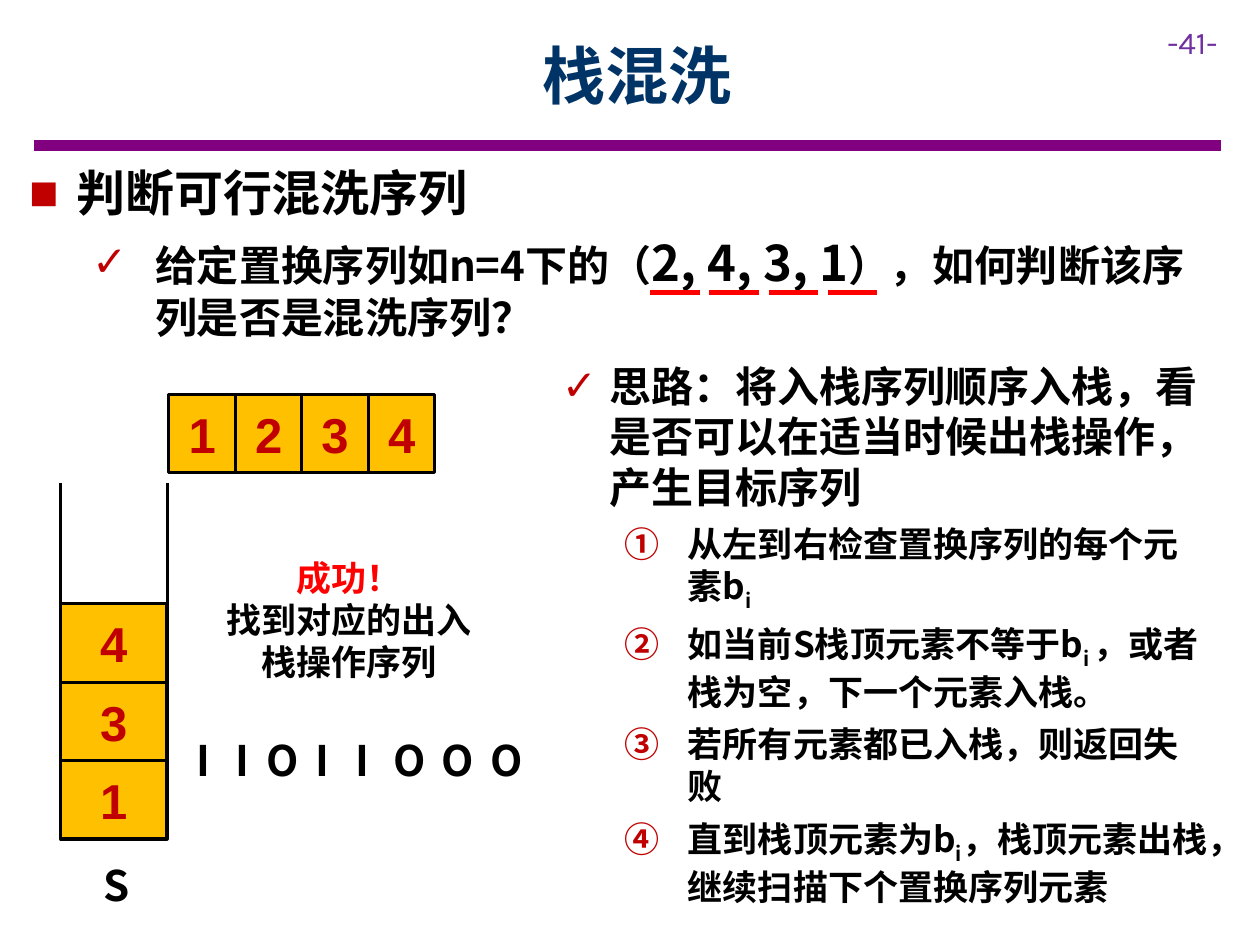
from dataclasses import dataclass
from lxml.etree import SubElement
from pptx import Presentation
from pptx.dml.color import RGBColor
from pptx.enum.shapes import MSO_CONNECTOR as CONN, MSO_SHAPE as SHAPE
from pptx.enum.text import MSO_ANCHOR as ANCHOR, PP_ALIGN as ALIGN
from pptx.oxml.ns import qn
from pptx.util import Pt


@dataclass(frozen=True)
class Theme:
    font: str = "Noto Sans CJK SC"
    digit_font: str = "Arial"
    page_font: str = "Karla"
    ink: str = "000000"
    title: str = "003366"
    rule: str = "800080"
    page: str = "7030A0"
    accent: str = "C00000"
    alert: str = "FF0000"
    cell: str = "FFC000"
    title_size: int = 36
    head_size: int = 28
    body_size: int = 24
    step_size: int = 20
    page_size: int = 18
    thin: float = 1.75


def add_run(p, text, font, size, color, bold=True, sub=False):
    r = p.add_run()
    r.text = text
    r.font.name = font
    r.font.size = Pt(size)
    r.font.bold = bold
    r.font.color.rgb = RGBColor.from_string(color)
    rPr = r._r.get_or_add_rPr()
    SubElement(rPr, qn("a:ea"), typeface=font)
    if sub:
        rPr.set("baseline", "-25000")


class SlideBuilder:
    def __init__(self, slide, theme):
        self.s = slide
        self.t = theme

    def paragraph(self, tf, runs, first=False, align=ALIGN.LEFT, after=0,
                  bullet=None, margin=0, hang=0, **fmt):
        p = tf.paragraphs[0] if first else tf.add_paragraph()
        p.alignment = align
        p.space_after = Pt(after)
        if bullet:
            pPr = p._p.get_or_add_pPr()
            pPr.set("marL", str(Pt(margin)))
            pPr.set("indent", str(-Pt(hang)))
            SubElement(SubElement(pPr, qn("a:buClr")), qn("a:srgbClr"), val=self.t.accent)
            SubElement(pPr, qn("a:buFont"), typeface=self.t.digit_font)
            if bullet == "circleNumDbPlain":
                SubElement(pPr, qn("a:buAutoNum"), type=bullet)
            else:
                SubElement(pPr, qn("a:buChar"), char=bullet)
        base = dict(font=self.t.font, size=self.t.body_size, color=self.t.ink) | fmt
        for text, extra in [(runs, {})] if isinstance(runs, str) else runs:
            add_run(p, text, **(base | extra))

    def text(self, box, paragraphs, anchor=ANCHOR.TOP):
        tf = self.s.shapes.add_textbox(*map(Pt, box)).text_frame
        tf.word_wrap = True
        tf.vertical_anchor = anchor
        for i, (runs, fmt) in enumerate(paragraphs):
            self.paragraph(tf, runs, first=i == 0, **fmt)

    def line(self, x1, y1, x2, y2, color, width):
        c = self.s.shapes.add_connector(CONN.STRAIGHT, Pt(x1), Pt(y1), Pt(x2), Pt(y2))
        c.line.color.rgb = RGBColor.from_string(color)
        c.line.width = Pt(width)
        SubElement(c._element.spPr, qn("a:effectLst"))

    def cell(self, x, y, w, h, digit):
        sp = self.s.shapes.add_shape(SHAPE.RECTANGLE, Pt(x), Pt(y), Pt(w), Pt(h))
        sp.shadow.inherit = False
        sp.fill.solid()
        sp.fill.fore_color.rgb = RGBColor.from_string(self.t.cell)
        sp.line.color.rgb = RGBColor.from_string(self.t.ink)
        sp.line.width = Pt(self.t.thin)
        tf = sp.text_frame
        tf.vertical_anchor = ANCHOR.MIDDLE
        self.paragraph(tf, digit, first=True, align=ALIGN.CENTER, font=self.t.digit_font,
                       size=self.t.head_size, color=self.t.accent)


def main():
    t = Theme()
    prs = Presentation()
    prs.slide_width, prs.slide_height = Pt(720), Pt(540)
    b = SlideBuilder(prs.slides.add_slide(prs.slide_layouts[6]), t)

    b.line(19.5, 83, 697.5, 83, t.rule, 6)
    b.text((660, 9.5, 60, 29), [("-41-", dict(font=t.page_font, size=t.page_size,
                                             color=t.page, bold=False))])
    b.text((65, 6.5, 598, 72), [("栈混洗", dict(size=t.title_size, color=t.title,
                                             align=ALIGN.CENTER))], ANCHOR.MIDDLE)

    head = dict(after=6, margin=27, hang=27)
    detail = dict(after=6, margin=72, hang=36)
    b.text((9.5, 89.5, 696, 110), [
        ("判断可行混洗序列", dict(head, bullet="■", size=t.head_size)),
        ([("给定置换序列如n=4下的（", {}), ("2, 4, 3, 1", dict(size=t.head_size)),
          ("），如何判断该序列是否是混洗序列？", {})], dict(detail, bullet="✓")),
    ])

    sub_i = ("i", dict(sub=True))
    steps = [
        [("从左到右检查置换序列的每个元素b", {}), sub_i],
        [("如当前S栈顶元素不等于b", {}), ("i ", dict(sub=True)),
         ("，或者栈为空，下一个元素入栈。", {})],
        "若所有元素都已入栈，则返回失败",
        [("直到栈顶元素为b", {}), sub_i, ("，栈顶元素出栈，继续扫描下个置换序列元素", {})],
    ]
    step = dict(detail, bullet="circleNumDbPlain", size=t.step_size)
    idea = "思路：将入栈序列顺序入栈，看是否可以在适当时候出栈操作，产生目标序列"
    b.text((314, 202.5, 386, 312.5),
           [(idea, dict(head, bullet="✓"))] + [(runs, step) for runs in steps])

    for i in range(4):
        x = 371.5 + 33.84 * i
        b.line(x, 167.3, x + 28.3, 167.3, t.alert, 3)

    left, right, top, bottom = 34.6, 95.5, 276, 479.5
    for x in (left, right):
        b.line(x, top, x, bottom, t.ink, t.thin)
    b.line(left, bottom, right, bottom, t.ink, t.thin)
    for i, digit in enumerate("134", 1):
        b.cell(left, bottom - 44.8 * i, right - left, 44.8, digit)
    b.text((52, 487.5, 63, 36), [("S", {})])

    for i, digit in enumerate("1234"):
        b.cell(96.5 + 38 * i, 225.4, 38, 44.8, digit)
    b.line(99.5, 270.2, 247, 270.2, t.ink, t.thin)

    note = dict(size=t.step_size, align=ALIGN.CENTER)
    b.text((119, 314.5, 161, 80), [("成功！", dict(note, color=t.alert)),
                                   ("找到对应的出入栈操作序列", note)])
    for x, move in zip((105, 127.5, 145, 173, 196, 218, 245.5, 273), "IIOIIOOO"):
        b.text((x, 416, 33, 36), [(move, {})])

    prs.save("out.pptx")


if __name__ == "__main__":
    main()
